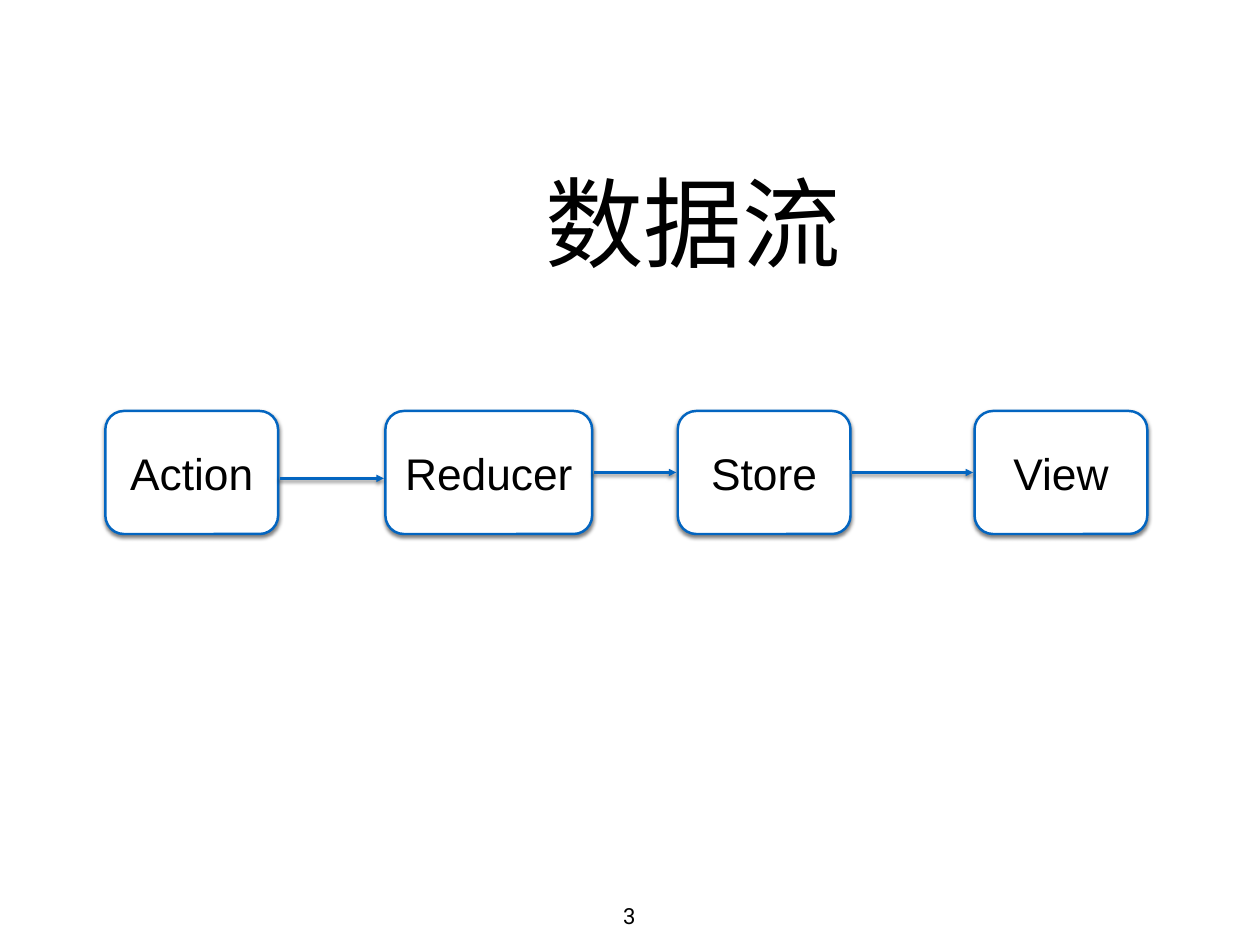
import dataclasses
import itertools

import lxml.etree
import pptx
import pptx.dml.color
import pptx.enum.shapes
import pptx.enum.text
import pptx.oxml
import pptx.oxml.ns
import pptx.util

COLUMNS, ROWS = 128, 96
CELL = pptx.util.Inches(1) / 9
COLORS = {"ink": "000000", "paper": "FFFFFF", "flow": "0365C0"}
STAGE_TOP, STAGE_HEIGHT = 41.75, 12.5
ARROW_GAP = 0.15


@dataclasses.dataclass(frozen=True)
class Stage:
    label: str
    left: float
    width: float = 17.55
    arrow_row: float = STAGE_TOP + STAGE_HEIGHT / 2


STAGES = [
    Stage("Action", 10.7, arrow_row=48.6),
    Stage("Reducer", 39.15, width=21),
    Stage("Store", 68.85),
    Stage("View", 99),
]


def cells(*counts: float) -> list[int]:
    return [round(count * CELL) for count in counts]


def color(key: str) -> pptx.dml.color.RGBColor:
    return pptx.dml.color.RGBColor.from_string(COLORS[key])


def write(owner, text: str, *, size: float, font: str = "Arial", ink: str = "ink",
          anchor=pptx.enum.text.MSO_ANCHOR.MIDDLE, wrap: bool = True) -> None:
    frame = owner.text_frame
    frame.word_wrap = wrap
    frame.vertical_anchor = anchor
    frame.margin_left = frame.margin_right = pptx.util.Inches(0.06)
    frame.margin_top = frame.margin_bottom = pptx.util.Inches(0.06)
    paragraph = frame.paragraphs[0]
    paragraph.alignment = pptx.enum.text.PP_ALIGN.CENTER
    run = paragraph.add_run()
    run.text = text
    run.font.size = pptx.util.Pt(size)
    run.font.name = font
    run.font.color.rgb = color(ink)


def outline(item) -> None:
    item.line.color.rgb = color("flow")
    item.line.width = pptx.util.Pt(2)


def cast_shadow(item) -> None:
    item._element.spPr.append(pptx.oxml.parse_xml(
        f'<a:effectLst {pptx.oxml.ns.nsdecls("a")}>'
        f'<a:outerShdw blurRad="{pptx.util.Pt(3)}" dist="{pptx.util.Pt(2)}" '
        'dir="5400000" rotWithShape="0">'
        f'<a:srgbClr val="{COLORS["ink"]}"><a:alpha val="50000"/></a:srgbClr>'
        '</a:outerShdw></a:effectLst>'))


def draw_stage(slide, stage: Stage) -> None:
    box = slide.shapes.add_shape(
        pptx.enum.shapes.MSO_SHAPE.ROUNDED_RECTANGLE,
        *cells(stage.left, STAGE_TOP, stage.width, STAGE_HEIGHT))
    box.adjustments[0] = 0.15
    box.fill.solid()
    box.fill.fore_color.rgb = color("paper")
    outline(box)
    cast_shadow(box)
    write(box, stage.label, size=36)


def draw_arrow(slide, source: Stage, target: Stage) -> None:
    arrow = slide.shapes.add_connector(
        pptx.enum.shapes.MSO_CONNECTOR.STRAIGHT,
        *cells(source.left + source.width + ARROW_GAP, source.arrow_row,
               target.left - ARROW_GAP, source.arrow_row))
    outline(arrow)
    lxml.etree.SubElement(arrow.line._get_or_add_ln(),
                          pptx.oxml.ns.qn("a:tailEnd"), type="triangle")
    cast_shadow(arrow)


def main() -> None:
    deck = pptx.Presentation()
    deck.slide_width, deck.slide_height = cells(COLUMNS, ROWS)
    slide = deck.slides.add_slide(deck.slide_layouts[6])

    title = slide.shapes.add_textbox(*cells(19.2, 13.7, 102.4, 17.5))
    write(title, "数据流", size=80)
    page_number = slide.shapes.add_textbox(*cells(62.75, 91.1, 2.35, 3.8))
    write(page_number, "3", size=18, font="Roboto",
          anchor=pptx.enum.text.MSO_ANCHOR.TOP, wrap=False)

    for stage in STAGES:
        draw_stage(slide, stage)
    for source, target in itertools.pairwise(STAGES):
        draw_arrow(slide, source, target)

    deck.save("out.pptx")


if __name__ == "__main__":
    main()
